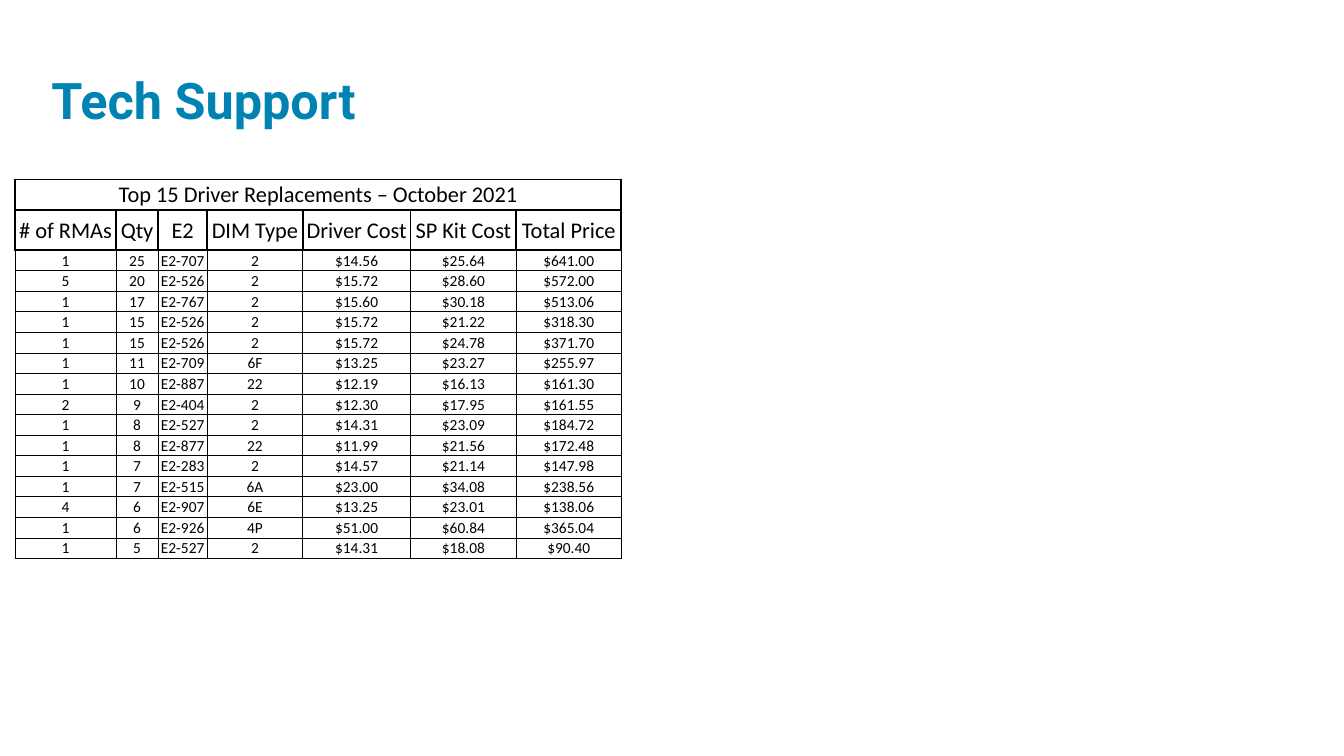
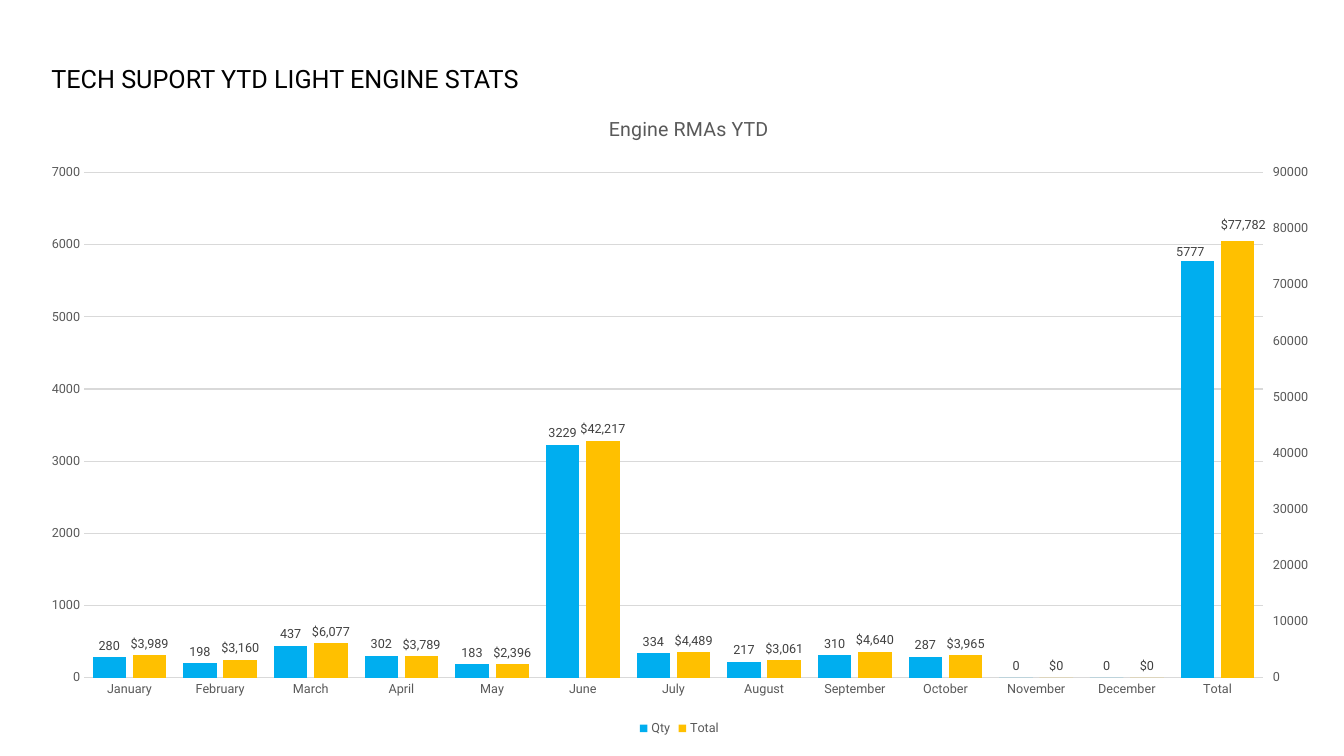
"""Builds two tech support slides: a driver replacement table and a light engine chart."""
from copy import deepcopy

from pptx import Presentation
from pptx.chart.axis import CategoryAxis, ValueAxis
from pptx.chart.data import CategoryChartData
from pptx.dml.color import RGBColor
from pptx.enum.chart import XL_CHART_TYPE, XL_LABEL_POSITION, XL_LEGEND_POSITION, XL_TICK_MARK
from pptx.enum.text import MSO_ANCHOR, MSO_AUTO_SIZE, PP_ALIGN
from pptx.oxml.xmlchemy import OxmlElement
from pptx.util import Pt

BLACK, BLUE, GREY, DARK, RULE = "000000", "0083B3", "595959", "404040", "D9D9D9"
HEADING_FONT, TABLE_FONT = "Roboto", "Calibri"
THIN, THICK = 0.5, 1.5

SUPPORT_TITLE = {
    "text": "Tech Support", "at": (29.5, 23.8, 684, 72), "spacing": 0.8,
    "anchor": MSO_ANCHOR.BOTTOM, "font": {"size": 36, "color": BLUE, "bold": True},
}
STATS_TITLE = {
    "text": "TECH SUPORT YTD LIGHT ENGINE STATS", "at": (29.5, 41.8, 414, 29), "spacing": 1.0,
    "anchor": MSO_ANCHOR.TOP, "font": {"size": 18, "color": BLACK, "bold": False},
}

CAPTION = "Top 15 Driver Replacements – October 2021"
HEADERS = ["# of RMAs", "Qty", "E2", "DIM Type", "Driver Cost", "SP Kit Cost", "Total Price"]
REPLACEMENTS = [
    ("1", "25", "E2-707", "2", "$14.56", "$25.64", "$641.00"),
    ("5", "20", "E2-526", "2", "$15.72", "$28.60", "$572.00"),
    ("1", "17", "E2-767", "2", "$15.60", "$30.18", "$513.06"),
    ("1", "15", "E2-526", "2", "$15.72", "$21.22", "$318.30"),
    ("1", "15", "E2-526", "2", "$15.72", "$24.78", "$371.70"),
    ("1", "11", "E2-709", "6F", "$13.25", "$23.27", "$255.97"),
    ("1", "10", "E2-887", "22", "$12.19", "$16.13", "$161.30"),
    ("2", "9", "E2-404", "2", "$12.30", "$17.95", "$161.55"),
    ("1", "8", "E2-527", "2", "$14.31", "$23.09", "$184.72"),
    ("1", "8", "E2-877", "22", "$11.99", "$21.56", "$172.48"),
    ("1", "7", "E2-283", "2", "$14.57", "$21.14", "$147.98"),
    ("1", "7", "E2-515", "6A", "$23.00", "$34.08", "$238.56"),
    ("4", "6", "E2-907", "6E", "$13.25", "$23.01", "$138.06"),
    ("1", "6", "E2-926", "4P", "$51.00", "$60.84", "$365.04"),
    ("1", "5", "E2-527", "2", "$14.31", "$18.08", "$90.40"),
]
TABLE_LEFT, TABLE_TOP = 10.8, 128.2
COLUMN_WIDTHS = [72, 30.2, 35, 68.3, 77, 75.6, 74.9]
ROW_HEIGHTS = [21.6, 28.8] + [14.7] * len(REPLACEMENTS)

CHART_TITLE = "Engine RMAs YTD"
CHART_AT = (18, 71.3, 934.6, 457.2)
PLOT_AT = {"x": 42.1, "y": 52, "w": 842, "h": 360.8}
CHART_TITLE_AT = {"x": 414.4, "y": 8.5}
MONTHS = ["January", "February", "March", "April", "May", "June", "July", "August",
          "September", "October", "November", "December", "Total"]
EMPTY = [None] * len(MONTHS)
SERIES = [
    {"name": "Qty", "color": "00AEEF", "format": "General", "nudge": {"x": -5, "y": 2},
     "values": [280, 198, 437, 302, 183, 3229, 334, 217, 310, 287, 0, 0, 5777]},
    {"name": "Series 2", "color": "EA428A", "format": "General", "values": EMPTY},
    {"name": "Series 3", "color": "EED500", "format": "General", "values": EMPTY},
    {"name": "Total", "color": "FFC000", "format": '"$"#,##0', "nudge": {"x": 4, "y": -3},
     "values": [3989, 3160, 6077, 3789, 2396, 42217, 4489, 3061, 4640, 3965, 0, 0, 77782]},
]
HIDDEN_IN_LEGEND = (1, 2)
QTY_SCALE = {"minimum_scale": 0, "maximum_scale": 7000, "major_unit": 1000,
             "major_tick_mark": XL_TICK_MARK.NONE}
TOTAL_SCALE = {"minimum_scale": 0, "maximum_scale": 90000, "major_unit": 10000,
               "major_tick_mark": XL_TICK_MARK.OUTSIDE, "has_major_gridlines": False}


def rgb(color):
    return RGBColor.from_string(color)


def apply(target, values):
    for name, value in values.items():
        setattr(target, name, value)


def style_font(font, size, color, name=HEADING_FONT, bold=False):
    apply(font, {"size": Pt(size), "name": name, "bold": bold})
    font.color.rgb = rgb(color)


def xml_node(tag, **attributes):
    node = OxmlElement(tag)
    for name, value in attributes.items():
        node.set(name, str(value))
    return node


def add_titled_slide(deck, heading):
    slide = deck.slides.add_slide(deck.slide_layouts[5])
    title = slide.shapes.title
    apply(title, dict(zip(("left", "top", "width", "height"), map(Pt, heading["at"]))))
    frame = title.text_frame
    frame.text = heading["text"]
    apply(frame, {"word_wrap": True, "auto_size": MSO_AUTO_SIZE.NONE,
                  "vertical_anchor": heading["anchor"]})
    paragraph = frame.paragraphs[0]
    apply(paragraph, {"alignment": PP_ALIGN.LEFT, "line_spacing": heading["spacing"]})
    style_font(paragraph.runs[0].font, **heading["font"])
    return slide


def set_borders(cell, widths):
    properties = cell._tc.get_or_add_tcPr()
    for index, (side, width) in enumerate(widths.items()):
        line = xml_node(f"a:ln{side}", w=int(Pt(width)), cap="flat", cmpd="sng")
        fill = xml_node("a:solidFill")
        fill.append(xml_node("a:srgbClr", val=BLACK))
        line.append(fill)
        properties.insert(index, line)


def fill_cell(cell, text, row):
    is_heading = row < 2
    cell.text = text
    apply(cell, {"vertical_anchor": MSO_ANCHOR.MIDDLE, "margin_left": Pt(0.72),
                 "margin_right": Pt(0.72), "margin_top": Pt(0.72), "margin_bottom": 0})
    paragraph = cell.text_frame.paragraphs[0]
    paragraph.alignment = PP_ALIGN.CENTER
    for part in (paragraph, *paragraph.runs):
        style_font(part.font, 16 if is_heading else 11, BLACK, TABLE_FONT)
    cell.fill.background()
    edge = THICK if is_heading else THIN
    set_borders(cell, {"L": edge, "R": edge, "T": THICK if row <= 2 else THIN, "B": edge})


def add_replacements(slide):
    rows = [[CAPTION] + [""] * (len(HEADERS) - 1), HEADERS, *REPLACEMENTS]
    table = slide.shapes.add_table(
        len(rows), len(HEADERS), Pt(TABLE_LEFT), Pt(TABLE_TOP),
        Pt(sum(COLUMN_WIDTHS)), Pt(sum(ROW_HEIGHTS))).table
    apply(table, {"first_row": False, "horz_banding": False})
    for column, width in zip(table.columns, COLUMN_WIDTHS):
        column.width = Pt(width)
    for row, height in zip(table.rows, ROW_HEIGHTS):
        row.height = Pt(height)
    for row, texts in enumerate(rows):
        for column, text in enumerate(texts):
            fill_cell(table.cell(row, column), text, row)
    table.cell(0, 0).merge(table.cell(0, len(HEADERS) - 1))


def place(parent, index, modes, lengths):
    for previous in parent.xpath("c:layout"):
        parent.remove(previous)
    chart_width, chart_height = CHART_AT[2:]
    extents = {"x": chart_width, "w": chart_width, "y": chart_height, "h": chart_height}
    fractions = {side: length / extents[side] for side, length in lengths.items()}
    layout, manual = xml_node("c:layout"), xml_node("c:manualLayout")
    for tag, value in {**modes, **fractions}.items():
        manual.append(xml_node(f"c:{tag}", val=value))
    layout.append(manual)
    parent.insert(index, layout)


def style_series(series, content):
    series.format.fill.solid()
    series.format.fill.fore_color.rgb = rgb(content["color"])
    series.invert_if_negative = False
    if "nudge" not in content:
        return
    labels = series.data_labels
    apply(labels, {"show_value": True, "position": XL_LABEL_POSITION.OUTSIDE_END,
                   "number_format": content["format"], "number_format_is_linked": False})
    style_font(labels.font, 9, DARK)
    total_label = series.points[len(MONTHS) - 1].data_label
    style_font(total_label.font, 9, DARK)
    total_label.position = XL_LABEL_POSITION.OUTSIDE_END


def style_axes(chart):
    months, quantity = chart.category_axis, chart.value_axis
    for axis in (months, quantity):
        style_font(axis.tick_labels.font, 9, GREY)
    months.major_tick_mark = XL_TICK_MARK.NONE
    quantity.has_major_gridlines = True
    apply(quantity, QTY_SCALE)
    apply(quantity.tick_labels, {"number_format": "General", "number_format_is_linked": False})
    quantity.format.line.fill.background()
    for line in (months.format.line, quantity.major_gridlines.format.line):
        line.width = Pt(0.75)
        line.color.rgb = rgb(RULE)


def move_to_right_axis(plot_area):
    left_bars = plot_area.xpath("c:barChart")[0]
    right_bars = deepcopy(left_bars)
    left_bars.addnext(right_bars)
    for bars, dropped in ((left_bars, slice(2, 4)), (right_bars, slice(0, 2))):
        for series in bars.xpath("c:ser")[dropped]:
            bars.remove(series)
    month_axis, value_axis = plot_area.xpath("c:catAx")[0], plot_area.xpath("c:valAx")[0]
    right_months, right_values = deepcopy(month_axis), deepcopy(value_axis)
    value_axis.addnext(right_values)
    right_values.addnext(right_months)
    ids = {"month": 50010, "value": 50020}
    for axis, own, other in ((right_months, "month", "value"), (right_values, "value", "month")):
        axis.xpath("c:axId")[0].set("val", str(ids[own]))
        axis.xpath("c:crossAx")[0].set("val", str(ids[other]))
    for reference, number in zip(right_bars.xpath("c:axId"), ids.values()):
        reference.set("val", str(number))
    right_values.xpath("c:axPos")[0].set("val", "r")
    right_values.xpath("c:crosses")[0].set("val", "max")
    apply(ValueAxis(right_values), TOTAL_SCALE)
    CategoryAxis(right_months).visible = False


def add_engine_chart(slide):
    data = CategoryChartData()
    data.categories = MONTHS
    for content in SERIES:
        data.add_series(content["name"], content["values"], content["format"])
    chart = slide.shapes.add_chart(
        XL_CHART_TYPE.COLUMN_CLUSTERED, *map(Pt, CHART_AT), data).chart
    style_font(chart.font, 10, BLACK)
    chart.chart_title.text_frame.text = CHART_TITLE
    style_font(chart.chart_title.text_frame.paragraphs[0].runs[0].font, 14, GREY)
    chart.has_legend = True
    apply(chart.legend, {"position": XL_LEGEND_POSITION.BOTTOM, "include_in_layout": False})
    style_font(chart.legend.font, 9, GREY)
    plot = chart.plots[0]
    apply(plot, {"gap_width": 50, "overlap": -20, "vary_by_categories": False})
    for series, content in zip(plot.series, SERIES):
        style_series(series, content)
    style_axes(chart)

    root = chart.element
    labelled = [content for content in SERIES if "nudge" in content]
    for label, content in zip(root.xpath(".//c:dLbl"), labelled):
        place(label, 1, {}, content["nudge"])
        label.insert(2, xml_node("c:numFmt", formatCode=content["format"], sourceLinked=0))
    plot_area = root.xpath("c:chart/c:plotArea")[0]
    move_to_right_axis(plot_area)
    edge = {"xMode": "edge", "yMode": "edge"}
    place(plot_area, 0, {"layoutTarget": "inner", **edge}, PLOT_AT)
    place(root.xpath("c:chart/c:title")[0], 1, edge, CHART_TITLE_AT)
    legend_position = root.xpath("c:chart/c:legend/c:legendPos")[0]
    for index in reversed(HIDDEN_IN_LEGEND):
        entry = xml_node("c:legendEntry")
        entry.extend([xml_node("c:idx", val=index), xml_node("c:delete", val=1)])
        legend_position.addnext(entry)


def main():
    deck = Presentation()
    apply(deck, {"slide_width": Pt(960), "slide_height": Pt(540)})
    add_replacements(add_titled_slide(deck, SUPPORT_TITLE))
    add_engine_chart(add_titled_slide(deck, STATS_TITLE))
    deck.save("out.pptx")


if __name__ == "__main__":
    main()
